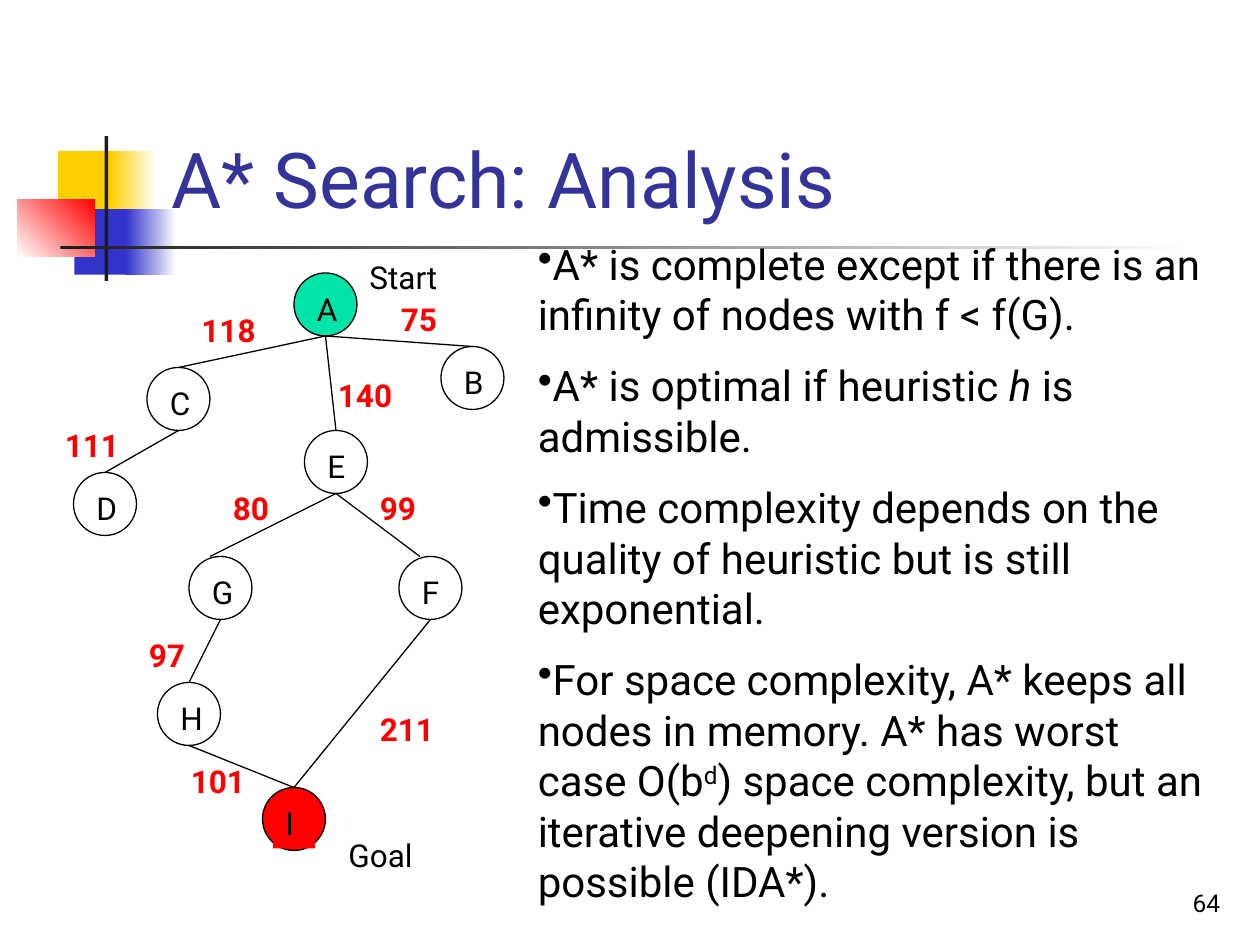
from dataclasses import dataclass

from lxml import etree
from pptx import Presentation
from pptx.dml.color import RGBColor
from pptx.enum.shapes import MSO_CONNECTOR, MSO_SHAPE
from pptx.enum.text import MSO_ANCHOR, PP_ALIGN
from pptx.oxml.ns import qn
from pptx.util import Inches, Pt

RECT, OVAL = MSO_SHAPE.RECTANGLE, MSO_SHAPE.OVAL
LINE = MSO_CONNECTOR.STRAIGHT
TOP, BOTTOM = MSO_ANCHOR.TOP, MSO_ANCHOR.BOTTOM
LEFT, RIGHT = PP_ALIGN.LEFT, PP_ALIGN.RIGHT


@dataclass(frozen=True)
class Theme:
    font: str = "Roboto"
    ink: str = "000000"
    title: str = "333399"
    gold: str = "FFCF01"
    blue: str = "3333CC"
    red: str = "FF0000"
    green: str = "00E4A8"
    dark: str = "1C1C1C"
    white: str = "FFFFFF"
    head: int = 44
    body: int = 24
    label: int = 18
    small: int = 14
    edge: float = 0.75


@dataclass(frozen=True)
class Box:
    """A region: its corner in inches and the size of one grid cell."""
    left: float
    top: float
    cell: float

    def spot(self, col, row):
        return (Inches(self.left + col * self.cell),
                Inches(self.top + row * self.cell))

    def area(self, col, row, cols, rows):
        size = Inches(cols * self.cell), Inches(rows * self.cell)
        return *self.spot(col, row), *size


THEME = Theme()
CELL = 1 / 12
NODE = 6  # node diameter in cells

# name: column, row, fill
NODES = {
    "A": (23, 2, THEME.green), "B": (37, 9, None), "C": (9, 11, None),
    "D": (2, 21, None), "E": (24, 17, None), "F": (33, 29, None),
    "G": (13, 29, None), "H": (10, 41, None), "I": (20, 51, THEME.red),
}
# parent, child, shift of the end, cost, column, row and width of the cost
EDGES = [
    ("A", "B", 0, "75", 32, 4, 8), ("A", "C", 0, "118", 13, 5, 10),
    ("A", "E", 0, "140", 26, 11.2, 10), ("C", "D", 0, "111", 0, 16, 10),
    ("E", "F", -1, "99", 30, 22, 8), ("E", "G", -1, "80", 16, 22, 8),
    ("G", "H", 0, "97", 8, 36, 8), ("H", "I", 0, "101", 12, 48, 11),
    ("F", "I", 0, "211", 30, 43, 10),
]
TAGS = [("Start", 29, 0), ("Goal", 27, 55)]

# Each point is a list of (text, style) runs
POINTS = [
    [("A* is complete except if there is an infinity of nodes with f < f(G).", "")],
    [("A* is optimal if heuristic ", ""), ("h", "italic"), (" is admissible.", "")],
    [("Time complexity depends on the quality of heuristic but is still "
      "exponential.", "")],
    [("For space complexity, A* keeps all nodes in memory. A* has worst case O(b", ""),
     ("d", "super"),
     (") space complexity, but an iterative deepening version is possible (IDA*).", "")],
]


def color(code):
    return RGBColor.from_string(code)


def style(para, size, code=THEME.ink, bold=False):
    font = para.font
    font.name, font.size, font.bold = THEME.font, Pt(size), bold
    font.color.rgb = color(code)


def frame(slide, area, anchor=TOP):
    shape = slide.shapes.add_textbox(*area)
    shape.text_frame.word_wrap = True
    shape.text_frame.vertical_anchor = anchor
    return shape


def write(slide, area, text, size, code=THEME.ink, bold=False,
          anchor=TOP, align=LEFT):
    shape = frame(slide, area, anchor)
    para = shape.text_frame.paragraphs[0]
    para.text, para.alignment = text, align
    style(para, size, code, bold)
    return shape


def block(slide, kind, area, fill=None, line=None):
    shape = slide.shapes.add_shape(kind, *area)
    shape.shadow.inherit = False
    if fill:
        shape.fill.solid()
        shape.fill.fore_color.rgb = color(fill)
    else:
        shape.fill.background()
    if line:
        shape.line.color.rgb, shape.line.width = color(line), Pt(THEME.edge)
    else:
        shape.line.fill.background()
    return shape


def fade(shape, start, end, angle=0):
    shape.fill.gradient()
    shape.fill.gradient_angle = angle
    for stop, code in zip(shape.fill.gradient_stops, (start, end)):
        stop.color.rgb = color(code)


def link(slide, start, end):
    line = slide.shapes.add_connector(LINE, *start, *end)
    line.line.color.rgb, line.line.width = color(THEME.ink), Pt(THEME.edge)
    etree.SubElement(line._element.spPr, qn("a:effectLst"))


def draw_mark(slide, box):
    t = THEME
    # column, row, columns, rows, first colour, last colour, angle
    parts = [
        (16, 6, 24, 26, t.gold, None, 0), (37, 6, 18, 26, t.gold, t.white, 0),
        (22.5, 29, 23, 26, t.blue, None, 0), (43, 29, 20, 26, t.blue, t.white, 0),
        (0, 25, 30.5, 23, t.white, t.red, 45),
        (34.5, 0, 1.5, 57.5, t.dark, None, 0),
        (17, 43.5, 450, 1.5, t.dark, t.white, 0),
    ]
    for *cells, start, end, angle in parts:
        shape = block(slide, RECT, box.area(*cells), start)
        if end:
            fade(shape, start, end, angle)


def draw_graph(slide, box):
    # Nodes
    for name, (col, row, fill) in NODES.items():
        block(slide, OVAL, box.area(col, row, NODE, NODE), fill, THEME.ink)
        text = write(slide, box.area(col + 1, row + 1, 4, 4.8), name, THEME.label)
        if name == "I":  # the goal letter has a red ground
            text.fill.solid()
            text.fill.fore_color.rgb = color(fill)
    # Edges run from the foot of the parent to the top of the child
    for head, tail, shift, cost, col, row, cols in EDGES:
        (x1, y1, _), (x2, y2, _) = NODES[head], NODES[tail]
        link(slide, box.spot(x1 + NODE / 2, y1 + NODE),
             box.spot(x2 + NODE / 2 + shift, y2))
        write(slide, box.area(col, row, cols, 4.8), cost, THEME.label,
              THEME.red, bold=True)
    # Start and goal tags
    for tag, col, row in TAGS:
        write(slide, box.area(col, row, 16, 4.8), tag, THEME.label)


def draw_points(slide, box):
    text = frame(slide, box.area(0, 0, 67, 65.9)).text_frame
    for i, runs in enumerate(POINTS):
        para = text.add_paragraph() if i else text.paragraphs[0]
        for words, look in runs:
            run = para.add_run()
            run.text = words
            if look == "italic":
                run.font.italic = True
            elif look == "super":
                run._r.get_or_add_rPr().set("baseline", "30000")
        # Bullet with a hanging indent
        props = para._p.get_or_add_pPr()
        props.set("marL", "0")
        props.set("indent", str(-Inches(0.17)))
        etree.SubElement(props, qn("a:buChar")).set("char", "•")
        para.space_before = Pt(12 if i else 0)
        style(para, THEME.body)


def main():
    deck = Presentation()
    deck.slide_width, deck.slide_height = Inches(10), Inches(7.5)
    slide = deck.slides.add_slide(deck.slide_layouts[6])
    draw_mark(slide, Box(0.14, 1.08, 0.02))
    # Title and page number
    write(slide, Box(1.26, 0.23, CELL).area(0, 0, 102.2, 19.2),
          "A* Search: Analysis", THEME.head, THEME.title, anchor=BOTTOM)
    write(slide, Box(7.7, 6.83, CELL).area(0, 0, 25, 6),
          "64", THEME.small, anchor=BOTTOM, align=RIGHT)
    draw_graph(slide, Box(5 * CELL, 2, CELL))
    draw_points(slide, Box(4.17, 1.84, CELL))
    deck.save("out.pptx")


if __name__ == "__main__":
    main()
